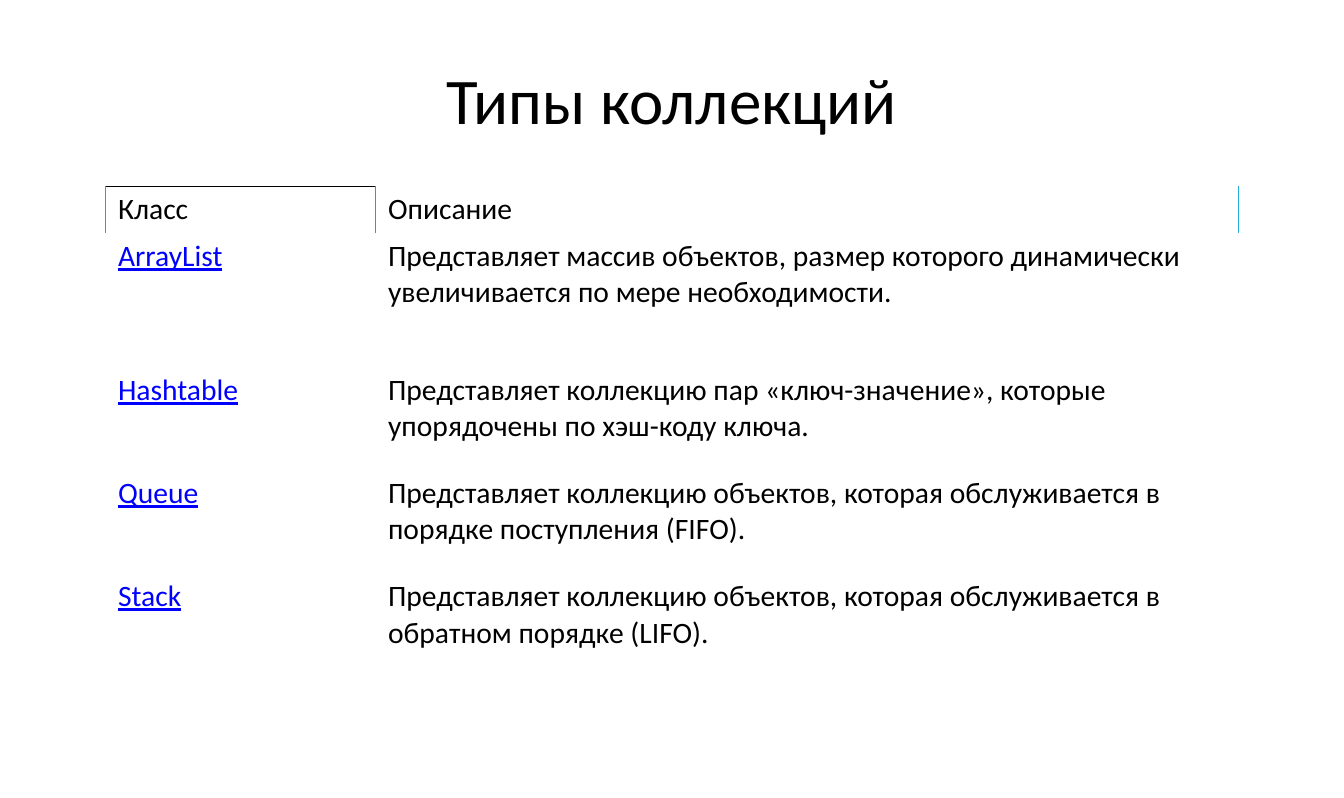
from lxml.etree import SubElement
from pptx import Presentation
from pptx.dml.color import RGBColor
from pptx.enum.text import MSO_ANCHOR, PP_ALIGN
from pptx.oxml.ns import qn
from pptx.util import Inches, Pt


def paint(target, color):
    target.rgb = RGBColor.from_string(color)


def write(frame, text, size, color, link=False):
    run = frame.paragraphs[0].add_run()
    run.text = text
    run.font.name = "Calibri"
    run.font.size = Pt(size)
    run.font.underline = link
    paint(run.font.color, color)


deck = Presentation()
deck.slide_width = Pt(910)
deck.slide_height = Pt(540)
wide, high = deck.slide_width, deck.slide_height
slide = deck.slides.add_slide(deck.slide_layouts[6])

# Title: centred between margins of a twentieth
title = slide.shapes.add_textbox(
    int(wide * 0.05), int(high * 0.04), int(wide * 0.9), int(high / 6))
frame = title.text_frame
frame.word_wrap = True
frame.vertical_anchor = MSO_ANCHOR.MIDDLE
frame.paragraphs[0].alignment = PP_ALIGN.CENTER
write(frame, "Типы коллекций", 44, "000000")

# Table text
rows = [
    ("Класс", "Описание"),
    ("ArrayList", "Представляет массив объектов, размер которого динамически "
                  "увеличивается по мере необходимости."),
    ("Hashtable", "Представляет коллекцию пар «ключ-значение», которые "
                  "упорядочены по хэш-коду ключа."),
    ("Queue", "Представляет коллекцию объектов, которая обслуживается "
              "в порядке поступления (FIFO)."),
    ("Stack", "Представляет коллекцию объектов, которая обслуживается "
              "в обратном порядке (LIFO)."),
]
widths = [2.54, 8.12]
heights = [0.44, 1.26] + [0.97] * 3

# Table grid
table = slide.shapes.add_table(
    len(rows), len(widths), Inches(0.99), Inches(1.75),
    Inches(sum(widths)), Inches(sum(heights))).table
table.first_row = table.horz_banding = False
for col, width in zip(table.columns, widths):
    col.width = Inches(width)
for row, height in zip(table.rows, heights):
    row.height = Inches(height)

# Header edges that show, as colour and points; all others are white
grey, black, cyan = ("808080", 1), ("000000", 0.5), ("20ACDA", 1)
edges = {
    (0, 0): {"lnL": grey, "lnR": grey, "lnT": black},
    (0, 1): {"lnL": grey, "lnR": cyan},
}

# Cells
for r, texts in enumerate(rows):
    for c, text in enumerate(texts):
        cell = table.cell(r, c)
        cell.margin_left = cell.margin_right = Inches(0.12)
        cell.margin_top = cell.margin_bottom = Inches(0.05)
        shown = edges.get((r, c), {})
        props = cell._tc.get_or_add_tcPr()
        for side in ("lnL", "lnR", "lnT", "lnB"):
            color, points = shown.get(side, ("FFFFFF", 0.75))
            line = SubElement(props, qn("a:" + side), w=str(Pt(points)))
            fill = SubElement(line, qn("a:solidFill"))
            SubElement(fill, qn("a:srgbClr"), val=color)
        cell.fill.solid()
        paint(cell.fill.fore_color, "FFFFFF")
        link = r > 0 and c == 0
        write(cell.text_frame, text, 20, "0000FF" if link else "000000", link)

deck.save("out.pptx")
